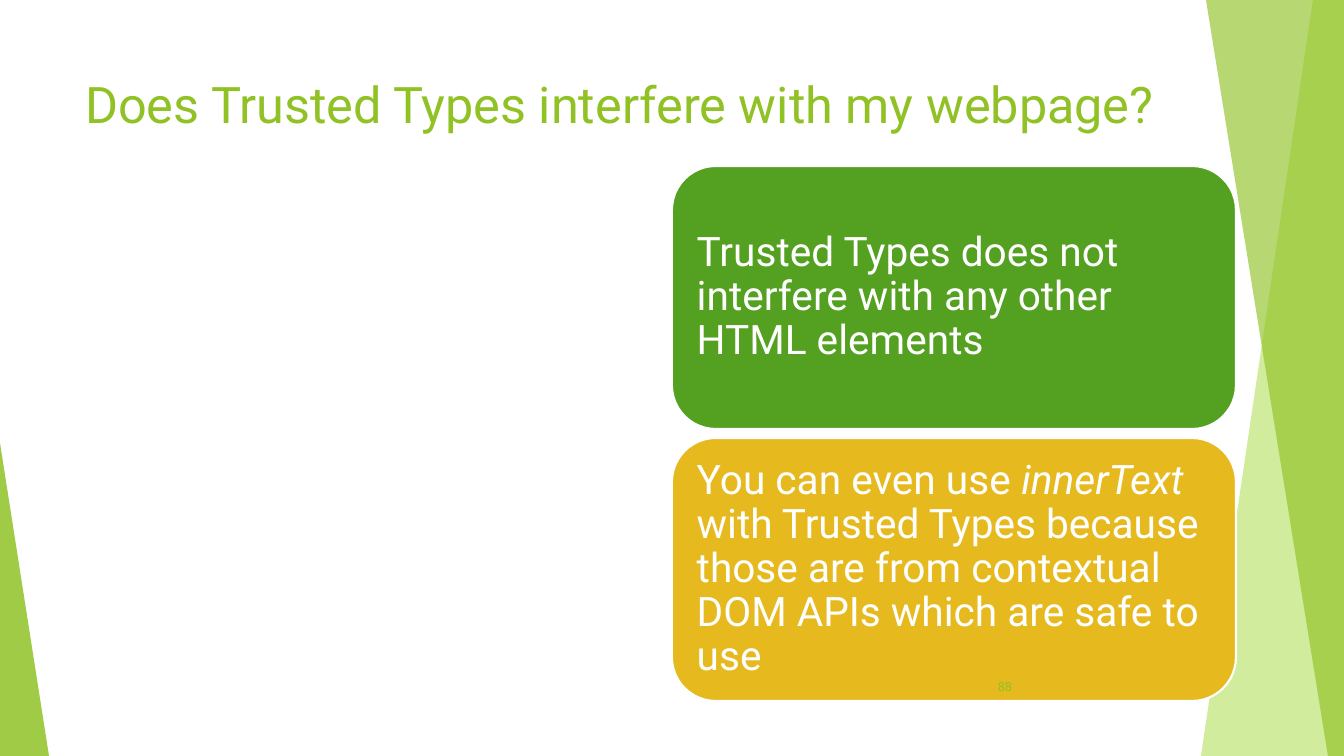
from lxml import etree
from pptx import Presentation
from pptx.dml.color import RGBColor
from pptx.enum.shapes import MSO_SHAPE
from pptx.enum.text import MSO_ANCHOR, MSO_AUTO_SIZE, PP_ALIGN
from pptx.oxml.ns import qn
from pptx.util import Emu, Pt

SLIDE_W, SLIDE_H = 1344, 756
EMU_PER_PX = 914400 / 100.8
FONT = "Roboto"
WHITE = RGBColor(0xFF, 0xFF, 0xFF)
LIME = RGBColor(0x90, 0xC2, 0x26)
PALE_LIME = RGBColor(0xC0, 0xE4, 0x74)
GREEN = RGBColor(0x54, 0xA0, 0x21)
GOLD = RGBColor(0xE6, 0xB9, 0x1E)

# Each statement is a list of (text, italic) pieces
STATEMENTS = [
    (GREEN, [("Trusted Types does not interfere with any other HTML elements", False)]),
    (GOLD, [("You can even use ", False), ("innerText", True),
            (" with Trusted Types because those are from contextual "
             "DOM APIs which are safe to use", False)]),
]


def px(length):
    return Emu(round(length * EMU_PER_PX))


def style_font(font, size, color):
    font.name = FONT
    font.size = Pt(size)
    font.color.rgb = color


def paint_facet(facet, color, opacity):
    facet.shadow.inherit = False
    facet.line.fill.background()
    facet.fill.solid()
    facet.fill.fore_color.rgb = color
    tint = facet.fill._xPr.find(qn("a:solidFill"))[0]
    etree.SubElement(tint, qn("a:alpha")).set("val", str(opacity * 1000))


def add_facets(slide, width, height):
    """Translucent facets along the right edge and in the lower left corner."""
    for top_x, bottom_x, color, opacity in [(1313, 1201, PALE_LIME, 70),
                                            (1206, 1328, LIME, 65)]:
        outline = slide.shapes.build_freeform(top_x, 0, scale=EMU_PER_PX)
        outline.add_line_segments([(width, 0), (width, height), (bottom_x, height)])
        paint_facet(outline.convert_to_shape(), color, opacity)
    corner_w, corner_h = 49, 313
    corner = slide.shapes.add_shape(MSO_SHAPE.ISOSCELES_TRIANGLE, 0, px(height - corner_h),
                                    px(corner_w), px(corner_h))
    corner.adjustments[0] = 0
    paint_facet(corner, LIME, 85)


def add_heading(slide, left, top, width, height):
    heading = slide.shapes.title
    heading.left, heading.top = px(left), px(top)
    heading.width, heading.height = px(width), px(height)
    frame = heading.text_frame
    frame.text = "Does Trusted Types interfere with my webpage?"
    frame.word_wrap = True
    frame.auto_size = MSO_AUTO_SIZE.NONE
    frame.vertical_anchor = MSO_ANCHOR.TOP
    frame.paragraphs[0].alignment = PP_ALIGN.LEFT
    style_font(frame.paragraphs[0].runs[0].font, 36, LIME)


def add_statements(slide, left, top, width, height, gap=9):
    """Equal rounded cards stacked in the given box."""
    card_h = (height - gap * (len(STATEMENTS) - 1)) / len(STATEMENTS)
    for row, (color, pieces) in enumerate(STATEMENTS):
        card = slide.shapes.add_shape(MSO_SHAPE.ROUNDED_RECTANGLE, px(left),
                                      px(top + row * (card_h + gap)), px(width), px(card_h))
        card.shadow.inherit = False
        card.fill.solid()
        card.fill.fore_color.rgb = color
        card.line.color.rgb = WHITE
        card.line.width = Pt(1.5)
        frame = card.text_frame
        frame.word_wrap = True
        frame.vertical_anchor = MSO_ANCHOR.MIDDLE
        frame.margin_left = frame.margin_right = px(12)
        frame.margin_top = frame.margin_bottom = px(12)
        statement = frame.paragraphs[0]
        statement.alignment = PP_ALIGN.LEFT
        statement.line_spacing = 0.9
        for text, italic in pieces:
            piece = statement.add_run()
            piece.text = text
            style_font(piece.font, 29, WHITE)
            piece.font.italic = italic


def add_page_number(slide, left, top, width, height):
    page_number = slide.shapes.add_textbox(px(left), px(top), px(width), px(height))
    frame = page_number.text_frame
    frame.text = "88"
    frame.word_wrap = True
    frame.vertical_anchor = MSO_ANCHOR.MIDDLE
    frame.margin_left = frame.margin_right = frame.margin_top = frame.margin_bottom = 0
    frame.paragraphs[0].alignment = PP_ALIGN.RIGHT
    style_font(frame.paragraphs[0].runs[0].font, 9, LIME)


def main():
    deck = Presentation()
    deck.slide_width, deck.slide_height = px(SLIDE_W), px(SLIDE_H)
    slide = deck.slides.add_slide(deck.slide_layouts[5])
    add_facets(slide, SLIDE_W, SLIDE_H)
    add_statements(slide, 672, 166, 564, 535)
    add_heading(slide, 75, 68, 1102, 145)
    add_page_number(slide, 944, 677, 68, 20)
    deck.save("out.pptx")


if __name__ == "__main__":
    main()
